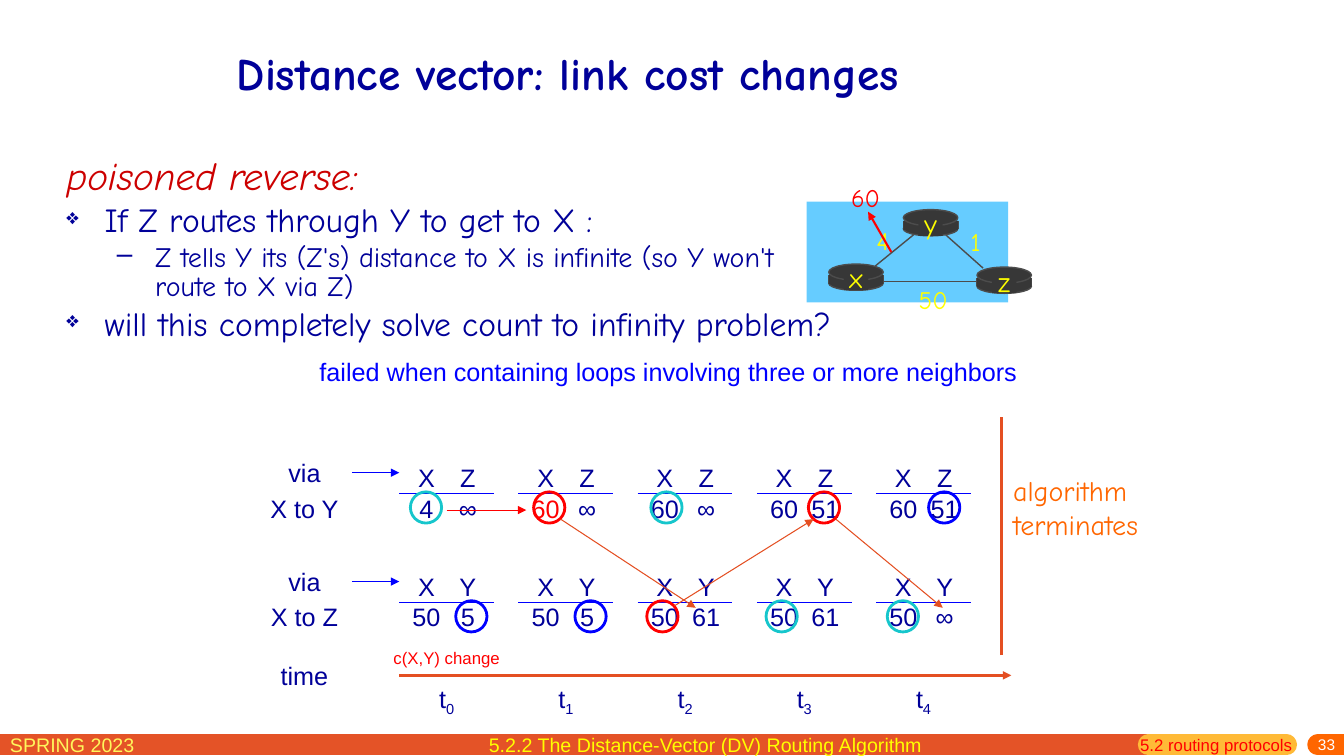
from lxml import etree
from pptx import Presentation
from pptx import util as u
from pptx.dml.color import RGBColor
from pptx.enum import shapes, text
from pptx.oxml.ns import qn

WIDTH, HEIGHT = 13.33, 7.5
NAVY, BLUE, RED, TEAL = "000099", "0000FF", "FF0000", "16C6CC"
ORANGE, YELLOW, GREY, DARK = "E44F22", "FFFF00", "4C4C4C", "373737"
COMIC, ARIAL = "Comic Neue", "Arial"
LEFT, CENTER, RIGHT = text.PP_ALIGN.LEFT, text.PP_ALIGN.CENTER, text.PP_ALIGN.RIGHT

FOOTER_Y = 7.39
FOOTER_BARS = [(0, 11.39, "E45327"), (11.39, 12.76, "FFBA37"), (13.07, WIDTH, "FF6600")]
FOOTER_TEXTS = [
    ("SPRING 2023", (0, 7.22, 2.29, 0.31), 14, "FFF65C"),
    ("5.2 routing protocols", (11.21, 7.24, 1.84, 0.31), 12, RED),
    ("5.2.2 The Distance-Vector (DV) Routing Algorithm", (4.75, 7.22, 4.52, 0.34), 14, YELLOW),
]
BULLETS = [
    ("poisoned reverse:", 28, "CC0000", 0.38, None),
    ("If Z routes through Y to get to X :", 24, NAVY, 0.38, "❖"),
    ("Z tells Y its (Z's) distance to X is infinite (so Y won't route to X via Z)", 20, NAVY, 0.88, "–"),
    ("will this completely solve count to infinity problem?", 24, NAVY, 0.38, "❖"),
]
CLOUD_START = (8.25, 2.48)
CLOUD_CURVES = [
    ((8.34, 2.34), (8.57, 2.25), (8.74, 2.15)),
    ((8.91, 2.06), (9.06, 1.87), (9.28, 1.89)),
    ((9.51, 1.9), (9.88, 2.11), (10.07, 2.25)),
    ((10.26, 2.4), (10.44, 2.61), (10.43, 2.76)),
    ((10.41, 2.9), (10.19, 3.07), (9.97, 3.13)),
    ((9.74, 3.2), (9.35, 3.18), (9.06, 3.15)),
    ((8.76, 3.12), (8.32, 3.08), (8.19, 2.97)),
    ((8.05, 2.85), (8.16, 2.61), (8.25, 2.48)),
]
LINKS = [((8.68, 2.64), (9.06, 2.33)), ((9.38, 2.33), (9.75, 2.66)), ((9.71, 2.79), (8.77, 2.79))]
ROUTERS = [("x", 8.22, 2.62), ("z", 9.69, 2.65), ("y", 8.96, 2.08)]
COSTS = [("1", 9.52, 2.2, 0.31, YELLOW), ("4", 8.58, 2.19, 0.35, YELLOW),
         ("50", 9, 2.77, 0.51, YELLOW), ("60", 8.33, 1.76, 0.51, RED)]

FIRST_COLUMN, LAST_COLUMN, CELL = 3.96, 8.69, (0.94, 0.71)
TABS = (0.27, 0.68)
RING = 0.31
LABEL_LEFT = 2.55
ROWS = [
    ("X to Y", 4.54, ("X", "Z"), [
        ("4", "∞", [(0.11, TEAL)]), ("60", "∞", [(0.15, RED)]), ("60", "∞", [(0.13, TEAL)]),
        ("60", "51", [(0.51, RED)]), ("60", "51", [(0.52, BLUE)])]),
    ("X to Z", 5.62, ("X", "Y"), [
        ("50", "5", [(0.56, BLUE)]), ("50", "5", [(0.56, BLUE)]), ("50", "61", [(0.09, RED)]),
        ("50", "61", [(0.09, TEAL)]), ("50", "∞", [(0.11, TEAL)])]),
]
UPDATES = [((5.56, 5.15), (6.9, 6.03), ORANGE), ((6.69, 6.01), (8.07, 5.15), ORANGE),
           ((8.29, 5.15), (9.35, 6.03), ORANGE), ((4.43, 5.06), (5.22, 5.06), RED)]

deck = Presentation()
deck.slide_width, deck.slide_height = u.Inches(WIDTH), u.Inches(HEIGHT)
page = deck.slides.add_slide(deck.slide_layouts[6])


def color(value):
    """Turn a hex string into a colour."""
    return RGBColor.from_string(value)


def add_text(lines, place, size, ink, font=ARIAL, align=LEFT, wrap=True):
    """Add a text box; a line is a string or a tuple of runs."""
    box = page.shapes.add_textbox(*map(u.Inches, place))
    frame = box.text_frame
    frame.word_wrap = wrap
    for number, line in enumerate(lines):
        para = frame.add_paragraph() if number else frame.paragraphs[0]
        para.alignment = align
        for part in (line if isinstance(line, tuple) else (line,)):
            span = para.add_run()
            span.text = part
            span.font.size, span.font.name = u.Pt(size), font
            span.font.color.rgb = color(ink)
    return box


def add_line(start, end, ink, width, arrow=False, cap=None):
    """Add a straight line, with an arrowhead at its end if asked."""
    line = page.shapes.add_connector(shapes.MSO_CONNECTOR.STRAIGHT, *map(u.Inches, start + end))
    line.line.color.rgb, line.line.width = color(ink), u.Pt(width)
    properties = line._element.spPr
    outline = properties.find(qn("a:ln"))
    if cap:
        outline.set("cap", cap)
    if arrow:
        etree.SubElement(outline, qn("a:tailEnd"), type="triangle")
    etree.SubElement(properties, qn("a:effectLst"))
    return line


def paint(shape, fill=None, ink=None, width=1):
    """Set the fill and the outline of a shape."""
    shape.shadow.inherit = False
    if fill:
        shape.fill.solid()
        shape.fill.fore_color.rgb = color(fill)
    else:
        shape.fill.background()
    if ink:
        shape.line.color.rgb, shape.line.width = color(ink), u.Pt(width)
    else:
        shape.line.fill.background()


def add_shape(kind, place, **style):
    """Add a painted preset shape."""
    paint(page.shapes.add_shape(kind, *map(u.Inches, place)), **style)


def add_footer():
    """Draw the footer bars and their texts."""
    for start, end, ink in FOOTER_BARS:
        add_line((start, FOOTER_Y), (end, FOOTER_Y), ink, 15, cap="rnd")
    for words, place, size, ink in FOOTER_TEXTS:
        add_text([words], place, size, ink, wrap=size == 12)
    frame = add_text(["33"], (10.75, 7.32, 2.59, 0.18), 11, "FFFFFF", align=RIGHT).text_frame
    frame.margin_top, frame.margin_bottom = 0, u.Inches(0.05)
    frame.vertical_anchor = text.MSO_ANCHOR.MIDDLE


def add_bullets():
    """Write the body with its hanging bullets."""
    box = add_text([item[0] for item in BULLETS], (0.56, 1.52, 7.89, 2.29), 24, NAVY, COMIC)
    for number, (para, item) in enumerate(zip(box.text_frame.paragraphs, BULLETS)):
        words, size, ink, indent, mark = item
        para.line_spacing = 0.85
        para.space_before = u.Pt(size * 0.2 if number else 0)
        para.level = int(indent > 0.5)
        properties = para._p.get_or_add_pPr()
        properties.set("marL", str(u.Inches(indent)))
        properties.set("indent", str(u.Inches(-0.38)))
        if mark:
            tint = etree.SubElement(properties, qn("a:buClr"))
            etree.SubElement(tint, qn("a:srgbClr"), val=NAVY)
            if mark == "❖":
                etree.SubElement(properties, qn("a:buSzPct"), val="65000")
            etree.SubElement(properties, qn("a:buChar"), char=mark)
        font = para.runs[0].font
        font.size, font.italic, font.color.rgb = u.Pt(size), not mark, color(ink)


def add_network():
    """Draw the three routers on their cloud."""
    points, start = [], CLOUD_START
    for first, second, end in CLOUD_CURVES:
        for t in (step / 10 for step in range(1, 11)):
            points.append(tuple((1 - t) ** 3 * a + 3 * t * (1 - t) ** 2 * b + 3 * t * t * (1 - t) * c + t ** 3 * d
                                for a, b, c, d in zip(start, first, second, end)))
        start = end
    builder = page.shapes.build_freeform(*CLOUD_START, scale=u.Inches(1))
    builder.add_line_segments(points)
    paint(builder.convert_to_shape(), fill="66CCFF")
    for start, end in LINKS:
        add_line(start, end, GREY, 1)
    oval, block = shapes.MSO_SHAPE.OVAL, shapes.MSO_SHAPE.RECTANGLE
    for name, left, top in ROUTERS:
        add_shape(oval, (left, top + 0.12, 0.54, 0.14), fill=DARK, ink=GREY)
        for side in (left, left + 0.54):
            add_line((side, top + 0.11), (side, top + 0.19), GREY, 1)
        add_shape(block, (left, top + 0.11, 0.54, 0.09), fill=DARK)
        add_shape(oval, (left, top, 0.54, 0.16), fill=DARK, ink=GREY)
        add_shape(block, (left + 0.15, top + 0.03, 0.24, 0.23), fill=DARK)
        add_text([name], (left + 0.09, top - 0.08, 0.36, 0.43), 20, YELLOW, COMIC, CENTER, False)
    for cost, left, top, width, ink in COSTS:
        add_text([cost], (left, top, width, 0.4), 18, ink, COMIC, CENTER, False)
    add_line((8.84, 2.5), (8.61, 2.1), RED, 1.5, arrow=True)


def add_distance_table(left, top, heads, values):
    """Write one two-column distance table with its rule."""
    lines = [tuple("\t" + word for word in row) for row in (heads, values)]
    box = add_text(lines, (left, top, *CELL), 18, NAVY)
    box.text_frame.margin_left = box.text_frame.margin_right = 0
    for para in box.text_frame.paragraphs:
        stops = etree.SubElement(para._p.get_or_add_pPr(), qn("a:tabLst"))
        for stop in TABS:
            etree.SubElement(stops, qn("a:tab"), pos=str(u.Inches(stop)), algn="ctr")
    rule = add_line((left, top), (left + CELL[0], top), BLUE, 0.75)
    rule.begin_connect(box, 1)
    rule.end_connect(box, 3)
    return box


def add_timeline():
    """Lay out the tables by time step, with rings and arrows."""
    pitch = (LAST_COLUMN - FIRST_COLUMN) / 4
    columns = [FIRST_COLUMN + pitch * step for step in range(5)]
    for label, top, heads, cells in ROWS:
        via = add_text(["via"], (LABEL_LEFT, top - 0.05, 0.94, 0.4), 18, NAVY, align=CENTER)
        add_text([label], (LABEL_LEFT, top + 0.3, 0.94, 0.4), 18, NAVY, align=CENTER)
        middle = top + 0.15
        add_line((3.49, middle), (FIRST_COLUMN, middle), BLUE, 0.75, True).begin_connect(via, 3)
        for left, (near, far, rings) in zip(columns, cells):
            box = add_distance_table(left, top, heads, (near, far))
            for offset, ink in rings:
                add_shape(shapes.MSO_SHAPE.OVAL, (left + offset, top + 0.34, RING, RING), ink=ink, width=2)
                if (near, ink) == ("60", RED) and offset < 0.5:
                    box.text_frame.paragraphs[1].runs[0].font.color.rgb = color(RED)
    for step, left in enumerate(columns):
        box = add_text([("t", str(step))], (left, 6.73, 0.94, 0.4), 18, NAVY, align=CENTER)
        box.text_frame.paragraphs[0].runs[1]._r.get_or_add_rPr().set("baseline", "-25000")
    add_text(["time"], (LABEL_LEFT, 6.5, 0.94, 0.4), 18, NAVY, align=CENTER)
    add_line((FIRST_COLUMN, 6.7), (10.03, 6.7), ORANGE, 2, arrow=True)
    add_text(["c(X,Y) change"], (3.47, 6.38, 1.92, 0.3), 12, RED, align=CENTER)
    for start, end, ink in UPDATES:
        add_line(start, end, ink, 0.75, arrow=True)
    add_line((9.93, 6.5), (9.93, 4.14), ORANGE, 2)
    add_text(["algorithm", "terminates"], (9.95, 4.65, 1.63, 0.77), 20, "FF6600", COMIC, wrap=False)


add_footer()
title = add_text(["Distance vector: link cost changes"], (2.25, 0.17, 8.5, 1.1), 32.4, NAVY, COMIC)
title.text_frame.vertical_anchor = text.MSO_ANCHOR.MIDDLE
title.text_frame.paragraphs[0].runs[0].font.bold = True
add_network()
add_bullets()
add_timeline()
add_text(["failed when containing loops involving three or more neighbors"], (3.07, 3.49, 8.24, 0.4), 18, BLUE)
deck.save("out.pptx")
